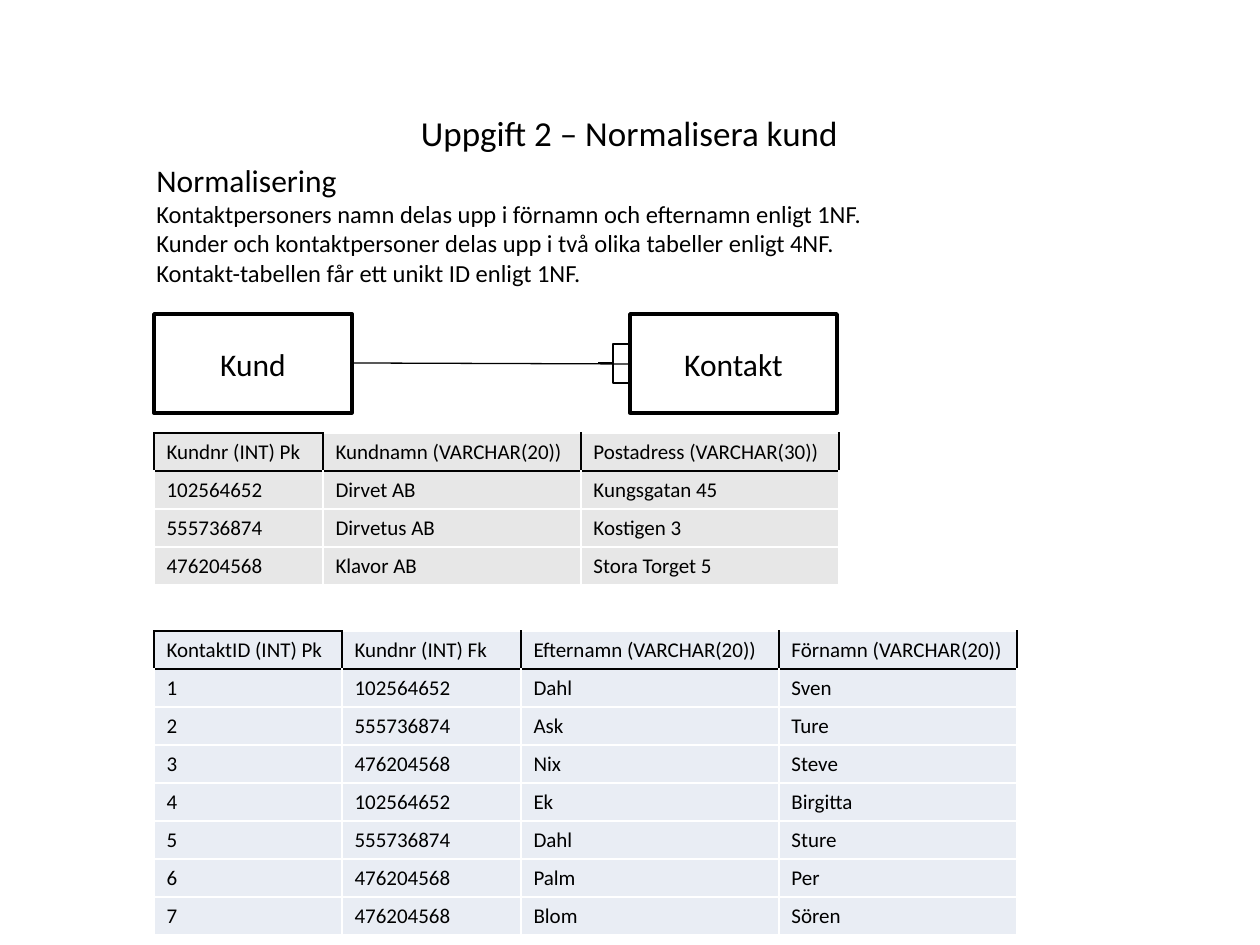
import dataclasses

import lxml.etree
import pptx
import pptx.dml.color
import pptx.enum.shapes
import pptx.enum.text
import pptx.oxml.ns
import pptx.util

EMU_PER_PX = 914400 / 126


@dataclasses.dataclass(frozen=True)
class Theme:
    font: str = "Calibri"
    ink: str = "000000"
    paper: str = "FFFFFF"
    customer_fill: str = "E7E7E7"
    contact_fill: str = "E9EDF4"
    title_size: int = 20
    heading_size: int = 18
    body_size: int = 14
    cell_size: int = 12
    box_line: float = 2
    link_line: float = 0.75
    cell_line: float = 1


THEME = Theme()
CENTER = pptx.enum.text.PP_ALIGN.CENTER
MIDDLE = pptx.enum.text.MSO_ANCHOR.MIDDLE


def px(*lengths):
    return [pptx.util.Emu(round(length * EMU_PER_PX)) for length in lengths]


def color(value):
    return pptx.dml.color.RGBColor.from_string(value)


def add_run(paragraph, text, size):
    run = paragraph.add_run()
    run.text = text
    run.font.name = THEME.font
    run.font.size = pptx.util.Pt(size)
    run.font.color.rgb = color(THEME.ink)


def add_text(slide, area, lines, wrap=True, align=None, anchor=None):
    frame = slide.shapes.add_textbox(*px(*area)).text_frame
    frame.word_wrap = wrap
    frame.vertical_anchor = anchor
    for index, (text, size) in enumerate(lines):
        paragraph = frame.add_paragraph() if index else frame.paragraphs[0]
        paragraph.alignment = align
        add_run(paragraph, text, size)


def add_entity(slide, area, label):
    entity = slide.shapes.add_shape(pptx.enum.shapes.MSO_SHAPE.RECTANGLE, *px(*area))
    entity.shadow.inherit = False
    entity.fill.solid()
    entity.fill.fore_color.rgb = color(THEME.paper)
    entity.line.color.rgb = color(THEME.ink)
    entity.line.width = pptx.util.Pt(THEME.box_line)
    entity.text_frame.vertical_anchor = MIDDLE
    paragraph = entity.text_frame.paragraphs[0]
    paragraph.alignment = CENTER
    add_run(paragraph, label, THEME.heading_size)


def add_link(slide, kind, ends):
    link = slide.shapes.add_connector(kind, *px(*ends))
    link.line.color.rgb = color(THEME.ink)
    link.line.width = pptx.util.Pt(THEME.link_line)
    lxml.etree.SubElement(link._element.spPr, pptx.oxml.ns.qn("a:effectLst"))


def set_borders(cell, black_sides):
    properties = cell._tc.get_or_add_tcPr()
    for side in "LRTB":
        border = lxml.etree.SubElement(properties, pptx.oxml.ns.qn(f"a:ln{side}"))
        border.set("w", str(pptx.util.Pt(THEME.cell_line)))
        fill = lxml.etree.SubElement(border, pptx.oxml.ns.qn("a:solidFill"))
        tone = lxml.etree.SubElement(fill, pptx.oxml.ns.qn("a:srgbClr"))
        tone.set("val", THEME.ink if side in black_sides else THEME.paper)


def black_sides_of(row, column):
    if row == 0:
        return "LRB" if column else "LRTB"
    return "T" if row == 1 else ""


def add_relation(slide, left, top, widths, row_height, fill, records):
    area = px(left, top, sum(widths), row_height * len(records))
    table = slide.shapes.add_table(len(records), len(widths), *area).table
    table.first_row = table.horz_banding = False
    for column, width in zip(table.columns, px(*widths)):
        column.width = width
    for row_index, record in enumerate(records):
        for column_index, value in enumerate(record):
            cell = table.cell(row_index, column_index)
            set_borders(cell, black_sides_of(row_index, column_index))
            cell.fill.solid()
            cell.fill.fore_color.rgb = color(fill)
            add_run(cell.text_frame.paragraphs[0], value, THEME.cell_size)


def main():
    deck = pptx.Presentation()
    deck.slide_width, deck.slide_height = px(1260, 945)
    slide = deck.slides.add_slide(deck.slide_layouts[6])

    title = [("Uppgift 2 – Normalisera kund", THEME.title_size)]
    add_text(slide, (94, 31, 1071, 204), title, align=CENTER, anchor=MIDDLE)

    add_entity(slide, (154, 314, 198, 99), "Kund")
    add_entity(slide, (630, 314, 207, 99), "Kontakt")
    connector = pptx.enum.shapes.MSO_CONNECTOR
    add_link(slide, connector.STRAIGHT, (353, 363, 630, 364))
    for toe in (344, 383):
        add_link(slide, connector.ELBOW, (598, 363, 628, toe))

    customers = [
        ("Kundnr (INT) Pk", "Kundnamn (VARCHAR(20))", "Postadress (VARCHAR(30))"),
        ("102564652", "Dirvet AB", "Kungsgatan 45"),
        ("555736874", "Dirvetus AB", "Kostigen 3"),
        ("476204568", "Klavor AB", "Stora Torget 5"),
    ]
    contacts = [
        ("KontaktID (INT) Pk", "Kundnr (INT) Fk", "Efternamn (VARCHAR(20))", "Förnamn (VARCHAR(20))"),
        ("1", "102564652", "Dahl", "Sven"),
        ("2", "555736874", "Ask", "Ture"),
        ("3", "476204568", "Nix", "Steve"),
        ("4", "102564652", "Ek", "Birgitta"),
        ("5", "555736874", "Dahl", "Sture"),
        ("6", "476204568", "Palm", "Per"),
        ("7", "476204568", "Blom", "Sören"),
    ]
    add_relation(slide, 154, 433, (169, 258, 258), 38, THEME.customer_fill, customers)
    add_relation(slide, 154, 631, (188, 179, 258, 238), 38, THEME.contact_fill, contacts)

    explanation = [
        ("Normalisering", THEME.heading_size),
        ("Kontaktpersoners namn delas upp i förnamn och efternamn enligt 1NF.", THEME.body_size),
        ("Kunder och kontaktpersoner delas upp i två olika tabeller enligt 4NF.", THEME.body_size),
        ("Kontakt-tabellen får ett unikt ID enligt 1NF.", THEME.body_size),
    ]
    add_text(slide, (144, 155, 737, 140), explanation, wrap=False)

    deck.save("out.pptx")


if __name__ == "__main__":
    main()
